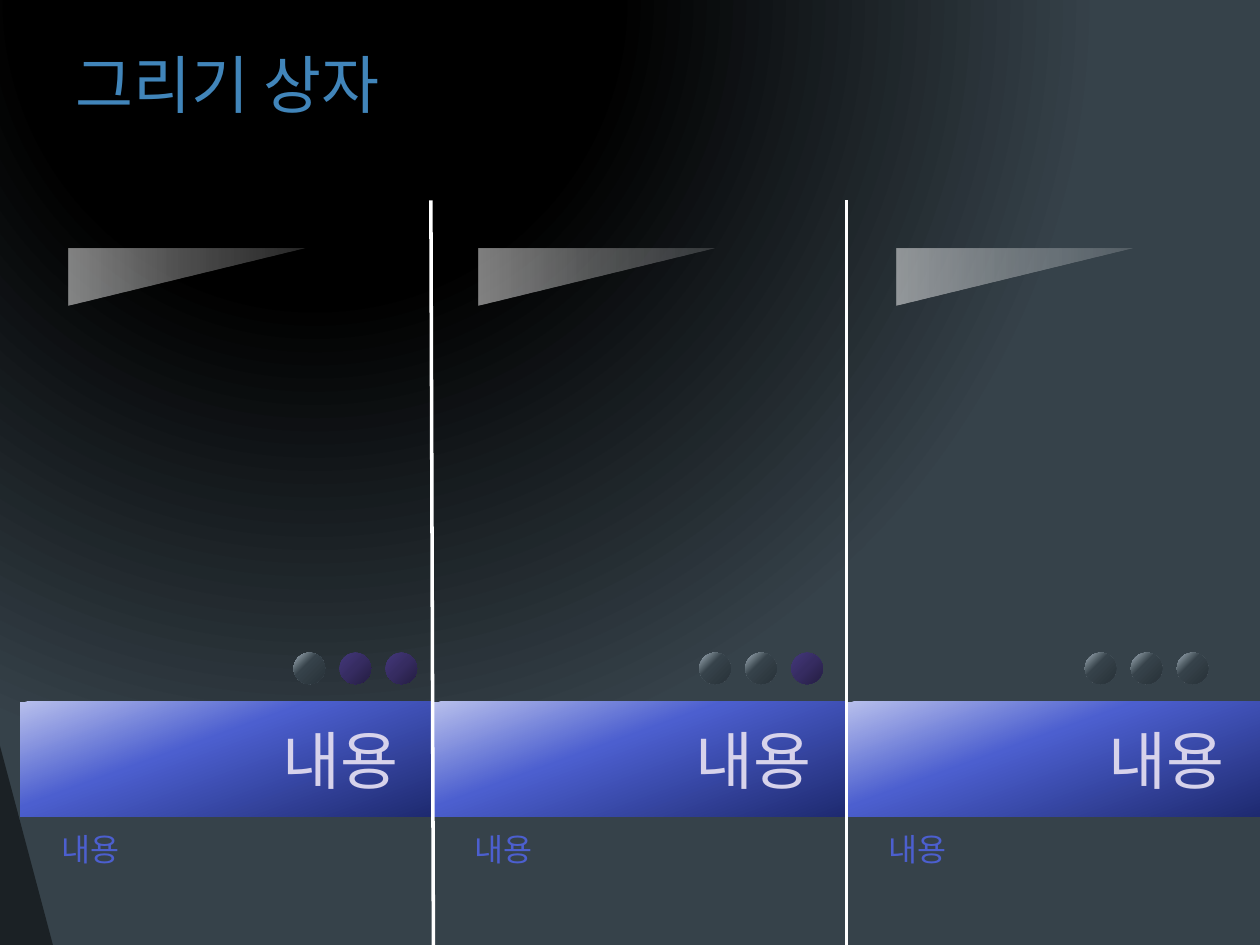
"""Builds a dark three-column slide with bars, dots and wedges."""
from pptx import Presentation
from pptx.dml.color import RGBColor
from pptx.enum.shapes import MSO_CONNECTOR, MSO_SHAPE
from pptx.enum.text import MSO_ANCHOR, MSO_AUTO_SIZE, PP_ALIGN
from pptx.oxml import parse_xml
from pptx.oxml.ns import nsdecls, qn
from pptx.util import Inches, Pt
from lxml.etree import SubElement

BLACK = RGBColor(0x00, 0x00, 0x00)
WHITE = RGBColor(0xFF, 0xFF, 0xFF)
SLATE = RGBColor(0x36, 0x42, 0x4A)
SLATE_LIGHT = RGBColor(0xA7, 0xB5, 0xBF)
SLATE_DARK = RGBColor(0x28, 0x32, 0x38)
CORNER = RGBColor(0x1B, 0x21, 0x25)
TITLE = RGBColor(0x41, 0x85, 0xBA)
BLUE = RGBColor(0x4C, 0x5F, 0xCF)
BLUE_LIGHT = RGBColor(0xB7, 0xBF, 0xEC)
BLUE_DARK = RGBColor(0x1E, 0x2A, 0x70)
LAVENDER = RGBColor(0xD7, 0xD3, 0xEB)
PURPLE = RGBColor(0x36, 0x2C, 0x61)
PURPLE_LIGHT = RGBColor(0x44, 0x38, 0x7B)
PURPLE_DARK = RGBColor(0x24, 0x1D, 0x41)

BACK_STOPS = [(0, BLACK, 100), (38, BLACK, 100), (100, SLATE, 100)]
BAR_STOPS = [(0, BLUE_LIGHT, 100), (40, BLUE, 100), (100, BLUE_DARK, 100)]
GREY_STOPS = [(0, SLATE_LIGHT, 100), (40, SLATE, 100), (100, SLATE_DARK, 100)]
PURPLE_STOPS = [(0, PURPLE_LIGHT, 100), (50, PURPLE, 100), (100, PURPLE_DARK, 100)]
WEDGE_STOPS = [(0, WHITE, 15), (50, WHITE, 30), (100, WHITE, 50)]
RADIAL = '<a:path path="circle"><a:fillToRect l="0" t="-80000" r="50000" b="160000"/></a:path>'

COL_LEFT, COL_W = 0.16, 3.28
DOT_SIZE, DOT_STEP = 0.25, 0.365
COLUMNS = [("내용", "내용", 2.33, 1, 1.26),
           ("내용", "내용", 5.55, 2, 4.51),
           ("내용", "내용", 8.61, 3, 7.83)]


def set_gradient(props, stops, direction):
    """Replace the solid fill in a property element with a gradient."""
    gs = "".join(f'<a:gs pos="{pos * 1000}"><a:srgbClr val="{color}">'
                 f'<a:alpha val="{alpha * 1000}"/></a:srgbClr></a:gs>'
                 for pos, color, alpha in stops)
    grad = parse_xml(f'<a:gradFill {nsdecls("a")} rotWithShape="1">'
                     f'<a:gsLst>{gs}</a:gsLst>{direction}</a:gradFill>')
    props.replace(props.find(qn("a:solidFill")), grad)


def add_background(s):
    """Give the slide its radial background."""
    s.background.fill.solid()
    set_gradient(s.element.find(".//" + qn("p:bgPr")), BACK_STOPS, RADIAL)


def add_shape(s, kind, x, y, w, h, color=BLACK, stops=None, angle=0):
    """Add a borderless shape with a solid or linear gradient fill."""
    sp = s.shapes.add_shape(kind, Inches(x), Inches(y), Inches(w), Inches(h))
    sp.shadow.inherit = False
    sp.line.fill.background()
    sp.fill.solid()
    sp.fill.fore_color.rgb = color
    if stops:
        set_gradient(sp.element.spPr, stops, f'<a:lin ang="{angle * 60000}" scaled="0"/>')
    return sp


def set_text(sp, text, size, font, color, anchor, align=PP_ALIGN.LEFT):
    """Write one formatted paragraph into a shape."""
    tf = sp.text_frame
    tf.text = text
    tf.word_wrap = True
    tf.vertical_anchor = anchor
    p = tf.paragraphs[0]
    p.alignment = align
    r = p.runs[0]
    r.font.size = Pt(size)
    r.font.name = font
    r.font.color.rgb = color
    return tf


def add_text(s, x, y, w, h, *style):
    """Add a text box holding one paragraph."""
    box = s.shapes.add_textbox(Inches(x), Inches(y), Inches(w), Inches(h))
    return set_text(box, *style)


def add_bar(s, x, text):
    """Add a column's gradient heading bar."""
    sp = add_shape(s, MSO_SHAPE.RECTANGLE, x, 5.57, COL_W, 0.91, stops=BAR_STOPS, angle=70)
    tf = set_text(sp, text, 36, "Arial", LAVENDER, MSO_ANCHOR.MIDDLE, PP_ALIGN.RIGHT)
    tf.margin_right = Inches(0.28)


def add_divider(s, bottom_x, top_x):
    """Add a white line between two columns."""
    line = s.shapes.add_connector(MSO_CONNECTOR.STRAIGHT, Inches(bottom_x), Inches(7.5),
                                  Inches(top_x), Inches(1.59))
    line.line.color.rgb = WHITE
    line.line.width = Pt(2)
    SubElement(line.element.spPr, qn("a:effectLst"))


def add_dots(s, x, grey_count):
    """Add three dots, the first ones grey and the rest purple."""
    for i in range(3):
        stops = GREY_STOPS if i < grey_count else PURPLE_STOPS
        add_shape(s, MSO_SHAPE.OVAL, x + i * DOT_STEP, 5.18, DOT_SIZE, DOT_SIZE,
                  stops=stops, angle=45)


def add_wedge(s, x):
    """Add a translucent wedge pointing right."""
    sp = add_shape(s, MSO_SHAPE.RIGHT_TRIANGLE, x, 1.26, 0.45, 1.88,
                   stops=WEDGE_STOPS, angle=90)
    sp.rotation = 90


def main():
    """Build and save the slide."""
    prs = Presentation()
    prs.slide_width, prs.slide_height = Inches(10), Inches(7.5)
    s = prs.slides.add_slide(prs.slide_layouts[6])
    add_background(s)
    add_shape(s, MSO_SHAPE.RIGHT_TRIANGLE, 0, 5.92, 0.42, 1.58, color=CORNER)
    add_text(s, 0.5, 0.3, 9, 0.72, "그리기 상자", 36, "Cabin", TITLE, MSO_ANCHOR.MIDDLE)
    for i, (heading, body, dot_x, grey_count, wedge_x) in enumerate(COLUMNS):
        x = COL_LEFT + i * COL_W
        add_bar(s, x, heading)
        tf = add_text(s, x + 0.23, 6.54, 2.81, 0.71, body, 18, "Arial", BLUE, MSO_ANCHOR.TOP)
        tf.auto_size = MSO_AUTO_SIZE.SHAPE_TO_FIT_TEXT
        add_dots(s, dot_x, grey_count)
        add_wedge(s, wedge_x)
    add_divider(s, 3.44, 3.42)
    add_divider(s, 6.72, 6.72)
    prs.save("out.pptx")


if __name__ == "__main__":
    main()
